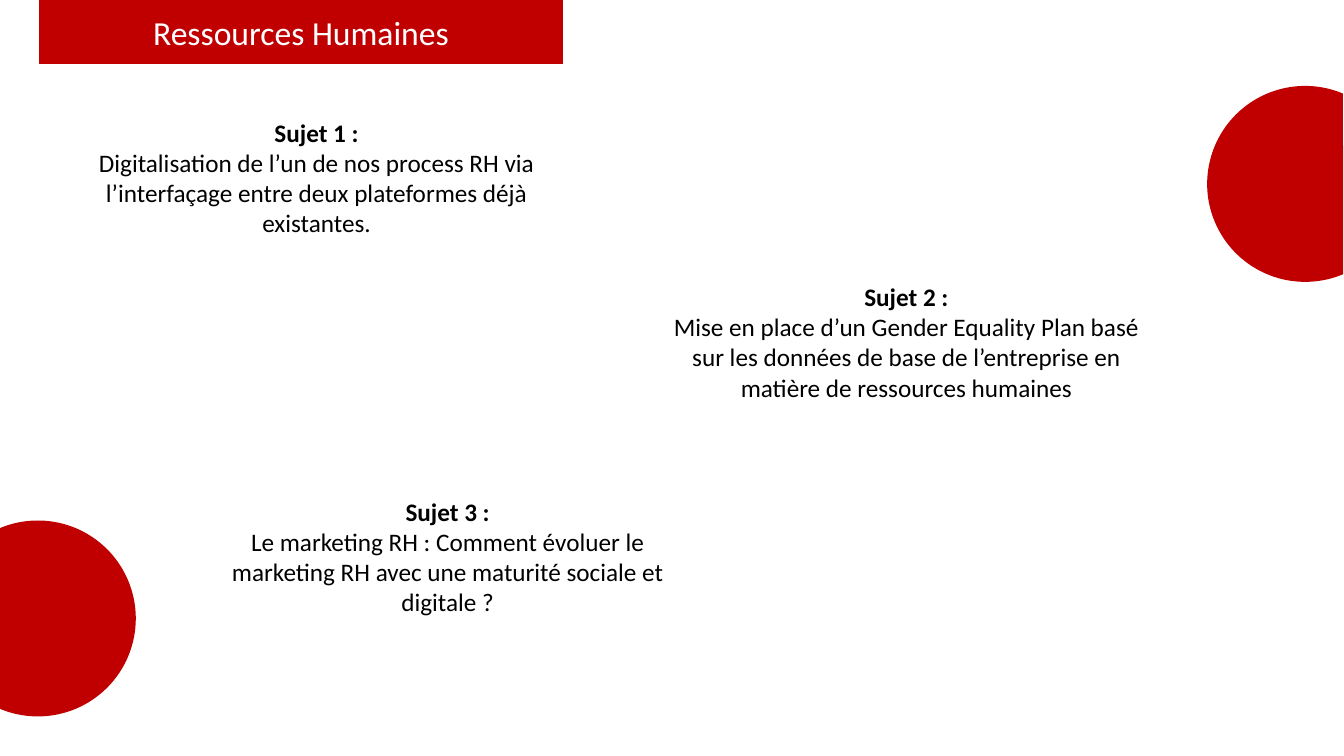
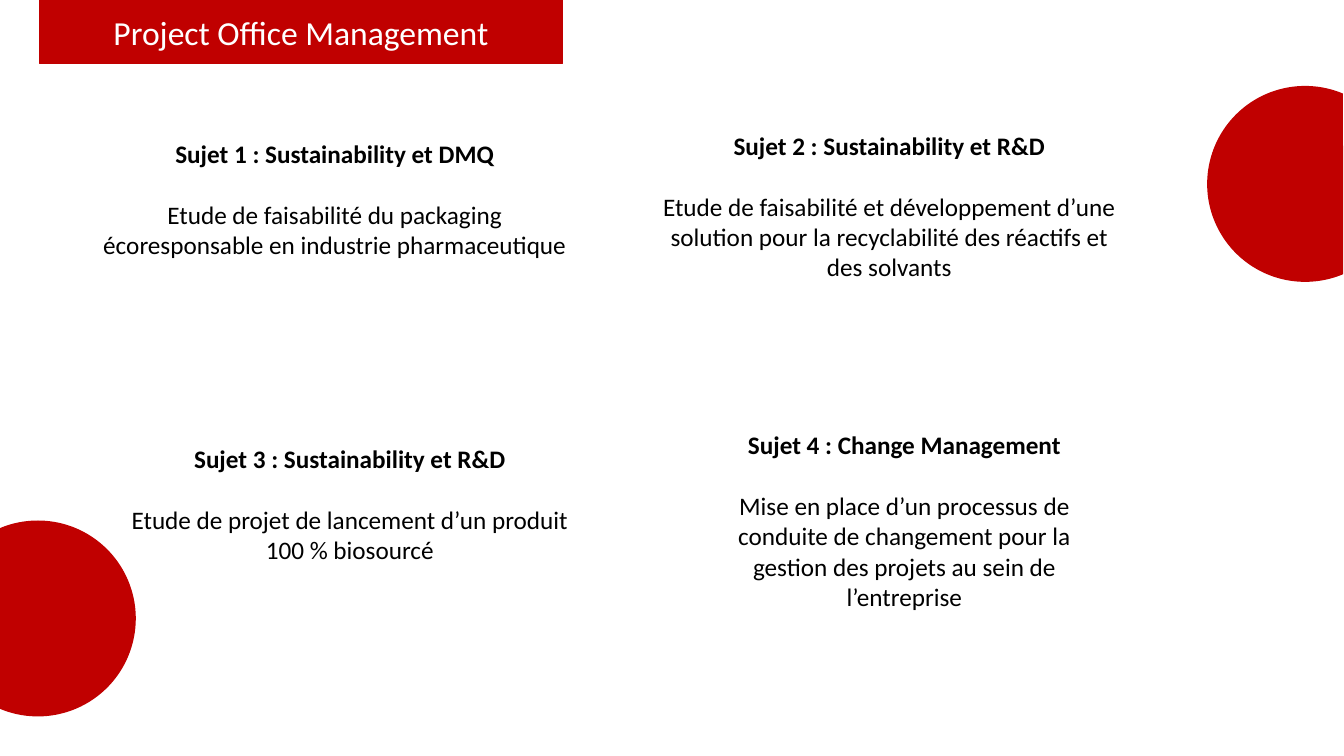
from pptx import Presentation
from pptx.dml.color import RGBColor
from pptx.enum.shapes import MSO_SHAPE
from pptx.enum.text import MSO_ANCHOR, PP_ALIGN
from pptx.util import Inches, Pt

RECTANGLE = MSO_SHAPE.RECTANGLE
CHORD = MSO_SHAPE.CHORD
MIDDLE = MSO_ANCHOR.MIDDLE
CENTER = PP_ALIGN.CENTER


def color(hex_code):
    return RGBColor.from_string(hex_code)


def write(paragraph, text, size=18, ink="000000", bold=False, before=0):
    """Fill a centred paragraph with one formatted run."""
    paragraph.alignment = CENTER
    if before:
        paragraph.space_before = Pt(before)
    run = paragraph.add_run()
    run.text = text
    run.font.name = Deck.FONT
    run.font.size = Pt(size)
    run.font.bold = bold
    run.font.color.rgb = color(ink)


class Deck:
    FONT = "Calibri"
    RED = "C00000"
    WHITE = "FFFFFF"
    CIRCLE_SIZE = 1.93
    TOPIC_WIDTH = 4.88
    TOPIC_HEIGHT = 1.92

    def __init__(self):
        self.presentation = Presentation()
        self.presentation.slide_width = Inches(13.33)
        self.presentation.slide_height = Inches(7.5)
        self.slide = None

    def add_slide(self, title):
        """Start a slide with its title band and the two edge circles."""
        self.slide = self.presentation.slides.add_slide(self.presentation.slide_layouts[6])
        self.title_band(title)
        self.edge_circle(11.98, 0.86, rotation=22.4)
        self.edge_circle(-0.59, 5.17, rotation=202.6)

    def red_shape(self, kind, left, top, width, height):
        shape = self.slide.shapes.add_shape(
            kind, Inches(left), Inches(top), Inches(width), Inches(height))
        shape.shadow.inherit = False
        shape.fill.solid()
        shape.fill.fore_color.rgb = color(self.RED)
        shape.line.color.rgb = color(self.RED)
        shape.line.width = Pt(1)
        return shape

    def title_band(self, title):
        band = self.red_shape(RECTANGLE, 0.39, 0, 5.19, 0.63)
        band.text_frame.vertical_anchor = MIDDLE
        write(band.text_frame.paragraphs[0], title, size=24, ink=self.WHITE)

    def edge_circle(self, left, top, rotation):
        """Draw a circle whose flat side, once rotated, lies on the slide edge."""
        circle = self.red_shape(CHORD, left, top, self.CIRCLE_SIZE, self.CIRCLE_SIZE)
        circle.rotation = rotation

    def topic(self, left, top, heading, body, width=TOPIC_WIDTH, gap=0):
        box = self.slide.shapes.add_textbox(
            Inches(left), Inches(top), Inches(width), Inches(self.TOPIC_HEIGHT))
        frame = box.text_frame
        frame.word_wrap = True
        write(frame.paragraphs[0], heading, bold=True)
        write(frame.add_paragraph(), body, before=gap)


def main():
    deck = Deck()

    deck.add_slide("Ressources Humaines")
    deck.topic(0.7, 1.11, "Sujet 1 :",
               "Digitalisation de l’un de nos process RH via l’interfaçage "
               "entre deux plateformes déjà existantes.")
    deck.topic(6.55, 2.74, "Sujet 2 :",
               "Mise en place d’un Gender Equality Plan basé sur les données de base "
               "de l’entreprise en matière de ressources humaines")
    deck.topic(2, 4.87, "Sujet 3 :",
               "Le marketing RH : Comment évoluer le marketing RH "
               "avec une maturité sociale et digitale ?")

    one_line = 22
    deck.add_slide("Project Office Management")
    deck.topic(0.88, 1.32, "Sujet 1 : Sustainability et DMQ",
               "Etude de faisabilité du packaging écoresponsable "
               "en industrie pharmaceutique", gap=one_line)
    deck.topic(6.38, 1.24, "Sujet 2 : Sustainability et R&D",
               "Etude de faisabilité et développement d’une solution "
               "pour la recyclabilité des réactifs et des solvants", gap=one_line)
    deck.topic(1.03, 4.35, "Sujet 3 : Sustainability et R&D",
               "Etude de projet de lancement d’un produit 100 % biosourcé", gap=one_line)
    deck.topic(6.88, 4.21, "Sujet 4 : Change Management",
               "Mise en place d’un processus de conduite de changement "
               "pour la gestion des projets au sein de l’entreprise",
               width=4.18, gap=one_line)

    deck.presentation.save("out.pptx")


if __name__ == "__main__":
    main()
